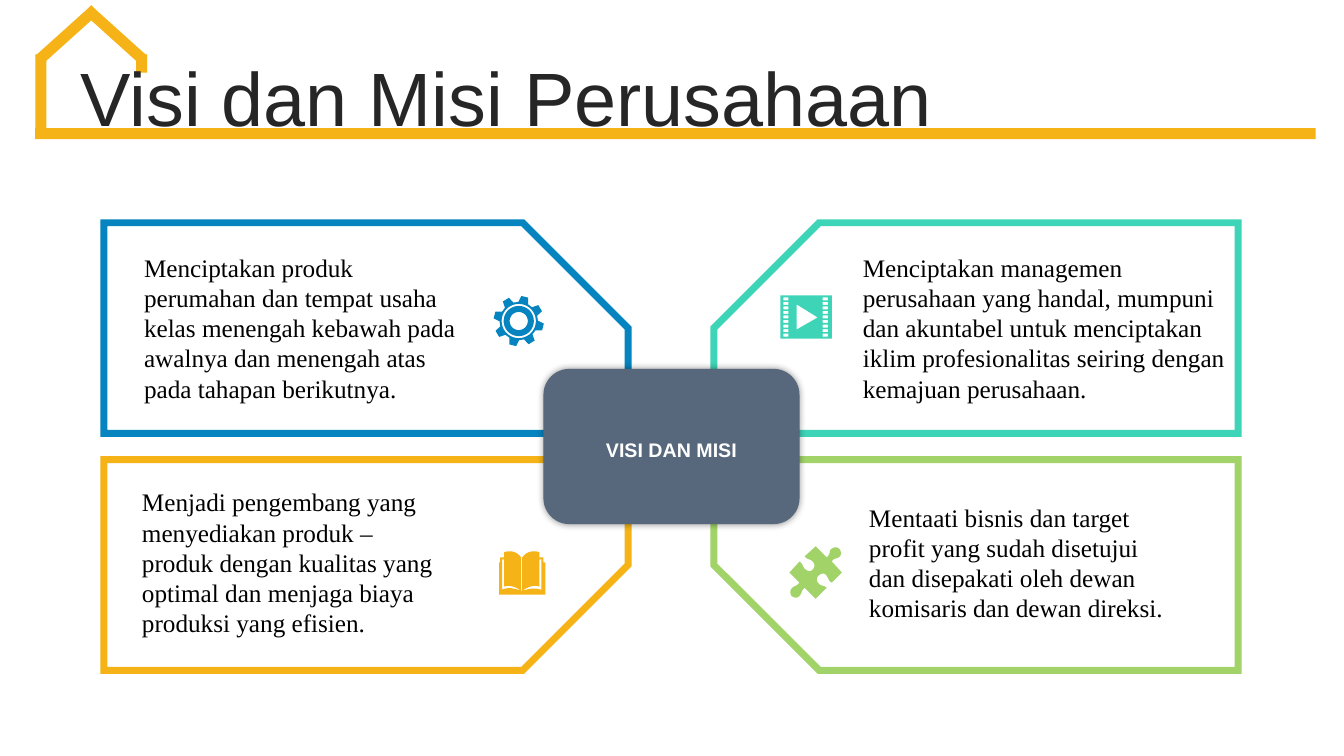
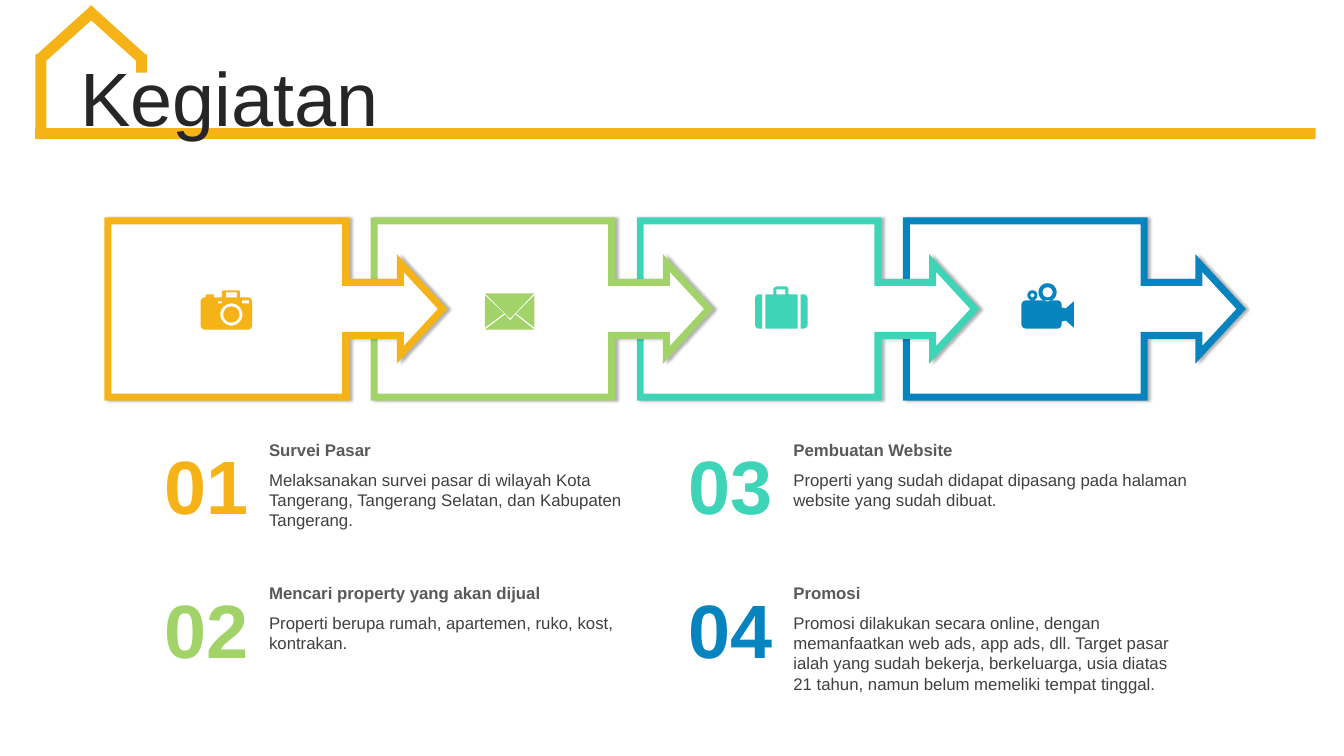
import math

import pptx
import pptx.dml.color
import pptx.enum.shapes
import pptx.enum.text
import pptx.oxml
import pptx.oxml.ns
import pptx.util

Inches = pptx.util.Inches
Pt = pptx.util.Pt
RGBColor = pptx.dml.color.RGBColor
MSO_SHAPE = pptx.enum.shapes.MSO_SHAPE
MSO_ANCHOR = pptx.enum.text.MSO_ANCHOR
PP_ALIGN = pptx.enum.text.PP_ALIGN

AMBER = RGBColor(0xF5, 0xB3, 0x17)
GREEN = RGBColor(0xA2, 0xD3, 0x68)
TEAL = RGBColor(0x3E, 0xD4, 0xB7)
BLUE = RGBColor(0x06, 0x84, 0xBF)
SLATE = RGBColor(0x57, 0x68, 0x7C)
WHITE = RGBColor(0xFF, 0xFF, 0xFF)
BLACK = RGBColor(0x00, 0x00, 0x00)
TITLE_INK = RGBColor(0x26, 0x26, 0x26)
HEADING_INK = RGBColor(0x59, 0x59, 0x59)
BODY_INK = RGBColor(0x40, 0x40, 0x40)


def add_text(slide, words, left, top, width, height, size, color, bold=False, face="Arial"):
    box = slide.shapes.add_textbox(Inches(left), Inches(top), Inches(width), Inches(height))
    box.text_frame.word_wrap = True
    paragraph = box.text_frame.paragraphs[0]
    paragraph.text = words
    paragraph.font.size = Pt(size)
    paragraph.font.name = face
    paragraph.font.bold = bold
    paragraph.font.color.rgb = color
    return box.text_frame


def draw_icon(slide, color, contours):
    builder = None
    for contour in contours:
        points = []
        if isinstance(contour, tuple) and len(contour) == 3:
            x, y, radius = contour
            for step in range(36):
                angle = math.radians(10 * step)
                points.append((x + radius * math.cos(angle), y + radius * math.sin(angle)))
        elif isinstance(contour, tuple):
            left, top, right, bottom = contour
            points = [(left, top), (right, top), (right, bottom), (left, bottom)]
        else:
            for node in contour:
                if len(node) == 2:
                    points.append(node)
                    continue
                x0, y0 = points[-1]
                x1, y1, x2, y2, x3, y3 = node
                for step in range(1, 7):
                    t = step / 6
                    a, b, c, d = (1 - t) ** 3, 3 * t * (1 - t) ** 2, 3 * t * t * (1 - t), t ** 3
                    points.append((a * x0 + b * x1 + c * x2 + d * x3,
                                   a * y0 + b * y1 + c * y2 + d * y3))
        points = [(Inches(x), Inches(y)) for x, y in points]
        if builder is None:
            builder = slide.shapes.build_freeform(*points[0], scale=1.0)
        else:
            builder.move_to(*points[0])
        builder.add_line_segments(points[1:], close=True)
    icon = builder.convert_to_shape()
    icon.shadow.inherit = False
    icon.fill.solid()
    icon.fill.fore_color.rgb = color
    icon.line.fill.background()


deck = pptx.Presentation()
deck.slide_width = Inches(13.33)
deck.slide_height = Inches(7.5)

HOUSE_BARS = [
    (0.35, 1.27, 12.7, 0.11, 0),
    (0.35, 0.54, 0.11, 0.8, 0),
    (1.35, 0.54, 0.11, 0.18, 0),
    (0.61, -0.03, 0.11, 0.75, 48),
    (1.09, -0.03, 0.11, 0.75, 312),
]
for title in ["Visi dan Misi Perusahaan", "Kegiatan"]:
    slide = deck.slides.add_slide(deck.slide_layouts[6])
    for left, top, width, height, turn in HOUSE_BARS:
        bar = slide.shapes.add_shape(MSO_SHAPE.RECTANGLE, Inches(left), Inches(top),
                                     Inches(width), Inches(height))
        bar.rotation = turn
        bar.shadow.inherit = False
        bar.fill.solid()
        bar.fill.fore_color.rgb = AMBER
        bar.line.fill.background()
    heading = add_text(slide, title, 0.7, 0.62, 12.31, 0.79, 54, TITLE_INK)
    heading.vertical_anchor = MSO_ANCHOR.MIDDLE
    heading.paragraphs[0].line_spacing = 0.9

vision, activities = deck.slides
framed = []
shadowed = []

for left, top, flips, color in [
    (1.03, 2.21, [], BLUE),
    (7.08, 2.21, ["flipH"], TEAL),
    (1.03, 4.56, ["flipV"], AMBER),
    (7.08, 4.56, ["flipH", "flipV"], GREEN),
]:
    panel = vision.shapes.add_shape(MSO_SHAPE.SNIP_1_RECTANGLE, Inches(left), Inches(top),
                                    Inches(5.2), Inches(2.09))
    panel.adjustments[0] = 0.5
    for flip in flips:
        panel._element.spPr.xfrm.set(flip, "1")
    framed.append((panel, color))

hub = vision.shapes.add_shape(MSO_SHAPE.ROUNDED_RECTANGLE, Inches(5.39), Inches(3.66),
                              Inches(2.54), Inches(1.54))
hub.fill.solid()
hub.fill.fore_color.rgb = SLATE
hub.line.fill.background()
hub.text_frame.margin_top = Inches(0.12)
hub.text_frame.vertical_anchor = MSO_ANCHOR.MIDDLE
hub_label = hub.text_frame.paragraphs[0]
hub_label.text = "VISI DAN MISI"
hub_label.alignment = PP_ALIGN.CENTER
hub_label.font.size = Pt(14)
hub_label.font.name = "Arial"
hub_label.font.bold = True
hub_label.font.color.rgb = WHITE
shadowed.append((hub, 40, 5, 0))

for left, top, width, height, mission in [
    (1.33, 2.45, 3.41, 1.62, "Menciptakan produk perumahan dan tempat usaha kelas menengah kebawah "
     "pada awalnya dan menengah atas pada tahapan berikutnya."),
    (1.31, 4.78, 3.21, 1.62, "Menjadi pengembang yang menyediakan produk – produk dengan kualitas "
     "yang optimal dan menjaga biaya produksi yang efisien."),
    (8.46, 2.45, 3.84, 1.62, "Menciptakan managemen perusahaan yang handal, mumpuni dan akuntabel "
     "untuk menciptakan iklim profesionalitas seiring dengan kemajuan perusahaan."),
    (8.52, 4.93, 3.21, 1.31, "Mentaati bisnis dan target profit yang sudah disetujui dan disepakati "
     "oleh dewan komisaris dan dewan direksi."),
]:
    add_text(vision, mission, left, top, width, height, 18, BLACK, face="Times New Roman")

gear_x, gear_y = 5.145, 3.185
teeth = []
for tooth in range(8):
    for offset, radius in [(-15, 0.19), (-8, 0.25), (8, 0.25), (15, 0.19)]:
        angle = math.radians(45 * tooth - 76 + offset)
        teeth.append((gear_x + radius * math.cos(angle), gear_y + radius * math.sin(angle)))
draw_icon(vision, BLUE, [teeth] + [(gear_x, gear_y, radius) for radius in (0.17, 0.15, 0.09)])

film_holes = [(left, 2.95 + 0.36 * row / 8, left + 0.05, 2.98 + 0.36 * row / 8)
              for left in (7.77, 8.16) for row in range(9)]
draw_icon(vision, TEAL, [(7.74, 2.93, 8.25, 3.36), [(7.9, 3.02), (8.11, 3.15), (7.9, 3.27)]]
          + film_holes)

draw_icon(vision, AMBER, [[
    (5.17, 5.86), (5.18, 5.86), (5.26, 5.84, 5.29, 5.83, 5.37, 5.85), (5.37, 5.55), (5.35, 5.55),
    (5.35, 5.82), (5.3, 5.8, 5.24, 5.82, 5.18, 5.86), (5.18, 5.53),
    (5.21, 5.49, 5.25, 5.47, 5.29, 5.47), (5.31, 5.47, 5.33, 5.47, 5.35, 5.48), (5.35, 5.53),
    (5.39, 5.53), (5.39, 5.58), (5.41, 5.58), (5.41, 5.9), (4.95, 5.9), (4.95, 5.58),
    (4.96, 5.58), (4.96, 5.53), (5, 5.53), (5, 5.48), (5.02, 5.47, 5.04, 5.47, 5.06, 5.47),
    (5.1, 5.47, 5.14, 5.49, 5.17, 5.53), (5.17, 5.86), (5.11, 5.82, 5.05, 5.8, 5, 5.82),
    (5, 5.55), (4.98, 5.55), (4.98, 5.85), (5.05, 5.82, 5.1, 5.84, 5.17, 5.86),
]])

draw_icon(vision, GREEN, [[
    (8.32, 5.44), (8.34, 5.46, 8.35, 5.5, 8.33, 5.52), (8.3, 5.55, 8.27, 5.53, 8.25, 5.57),
    (8.35, 5.68), (8.25, 5.78), (8.21, 5.76, 8.22, 5.73, 8.19, 5.7),
    (8.17, 5.68, 8.14, 5.69, 8.12, 5.71), (8.1, 5.72, 8.09, 5.76, 8.12, 5.79),
    (8.15, 5.82, 8.16, 5.8, 8.2, 5.83), (8.09, 5.94), (7.98, 5.83),
    (7.94, 5.87, 7.96, 5.88, 7.93, 5.91), (7.91, 5.94, 7.87, 5.93, 7.85, 5.91),
    (7.84, 5.9, 7.83, 5.86, 7.85, 5.84), (7.87, 5.81, 7.9, 5.82, 7.93, 5.78),
    (7.83, 5.68), (7.93, 5.57), (7.97, 5.6, 7.96, 5.63, 7.99, 5.65),
    (8.01, 5.67, 8.05, 5.67, 8.06, 5.65), (8.08, 5.63, 8.09, 5.6, 8.06, 5.57),
    (8.03, 5.54, 8.02, 5.56, 7.98, 5.52), (8.09, 5.42), (8.2, 5.53),
    (8.24, 5.49, 8.22, 5.48, 8.24, 5.45), (8.27, 5.42, 8.31, 5.43, 8.32, 5.44),
]])

STEPS = [
    ("Survei Pasar", AMBER, "Melaksanakan survei pasar di wilayah Kota Tangerang, "
     "Tangerang Selatan, dan Kabupaten Tangerang.", 0.71),
    ("Mencari property yang akan dijual", GREEN, "Properti berupa rumah, apartemen, ruko, kost, "
     "kontrakan.", 0.5),
    ("Pembuatan Website", TEAL, "Properti yang sudah didapat dipasang pada halaman website yang "
     "sudah dibuat.", 0.5),
    ("Promosi", BLUE, "Promosi dilakukan secara online, dengan memanfaatkan web ads, app ads, dll. "
     "Target pasar ialah yang sudah bekerja, berkeluarga, usia diatas 21 tahun, namun belum "
     "memeliki tempat tinggal.", 0.91),
]
for index, (name, color, detail, height) in enumerate(STEPS):
    column, row = divmod(index, 2)
    left = 1.49 + 5.2 * column
    top = 4.31 + 1.42 * row
    number = add_text(activities, f"{index + 1:02}", left, top, 1.11, 1.01, 54, color, True)
    number.paragraphs[0].alignment = PP_ALIGN.CENTER
    add_text(activities, detail, left + 1.08, top + 0.3, 4.12, height, 12, BODY_INK)
    add_text(activities, name, left + 1.08, top, 4.09, 0.3, 12, HEADING_INK, True)

for index in reversed(range(len(STEPS))):
    callout = activities.shapes.add_shape(MSO_SHAPE.RIGHT_ARROW_CALLOUT,
                                          Inches(1.07 + 2.64 * index), Inches(2.19),
                                          Inches(3.32), Inches(1.75))
    for position, share in enumerate([0.3, 0.26, 0.24, 0.71]):
        callout.adjustments[position] = share
    framed.append((callout, STEPS[index][1]))
    shadowed.append((callout, 30, 2, 2))

draw_icon(activities, AMBER, [
    (2.295, 3.12, 0.08), (2.295, 3.12, 0.11), (2.16, 2.99, 2.2, 3.01), (2.4, 2.98, 2.47, 3.01),
    (2.24, 2.9, 2.35, 2.95),
    [(2.22, 2.88), (2.37, 2.88), (2.38, 2.89), (2.38, 2.95), (2.46, 2.95),
     (2.48, 2.95, 2.5, 2.97, 2.5, 2.99), (2.5, 3.23), (2.5, 3.25, 2.48, 3.27, 2.46, 3.27),
     (2.03, 3.27), (2.01, 3.27, 1.99, 3.25, 1.99, 3.23), (1.99, 2.99),
     (1.99, 2.97, 2.01, 2.95, 2.03, 2.95), (2.04, 2.95), (2.04, 2.92), (2.12, 2.92),
     (2.12, 2.95), (2.2, 2.95), (2.2, 2.89)],
])
draw_icon(activities, GREEN, [
    [(5.11, 3.12), (5.3, 3.27), (4.81, 3.27), (5.01, 3.12), (5.06, 3.18)],
    [(5.3, 2.93), (5.3, 3.25), (5.12, 3.11)],
    [(4.81, 2.93), (5, 3.11), (4.81, 3.25)],
    [(4.81, 2.91), (5.3, 2.91), (5.06, 3.16)],
])
draw_icon(activities, TEAL, [
    [(7.94, 2.92), (7.97, 2.92), (7.99, 2.92, 8.01, 2.94, 8.01, 2.96), (8.01, 3.22),
     (8.01, 3.24, 7.99, 3.26, 7.97, 3.26), (7.94, 3.26)],
    [(7.56, 2.92), (7.56, 3.26), (7.53, 3.26), (7.5, 3.26, 7.49, 3.24, 7.49, 3.22),
     (7.49, 2.96), (7.49, 2.94, 7.5, 2.92, 7.53, 2.92)],
    (7.7, 2.87, 7.79, 2.92),
    [(7.7, 2.84), (7.8, 2.84), (7.82, 2.86), (7.82, 2.92), (7.91, 2.92), (7.91, 3.26),
     (7.59, 3.26), (7.59, 2.92), (7.67, 2.92), (7.67, 2.86)],
])
draw_icon(activities, BLUE, [
    (10.24, 2.93, 0.02), (10.24, 2.93, 0.05), (10.39, 2.9, 0.05), (10.39, 2.9, 0.09),
    [(10.18, 2.98), (10.49, 2.98), (10.51, 2.98, 10.53, 3, 10.53, 3.03), (10.53, 3.05),
     (10.57, 3.06), (10.65, 2.99), (10.65, 3.25), (10.57, 3.18), (10.53, 3.19), (10.53, 3.21),
     (10.53, 3.24, 10.51, 3.26, 10.49, 3.26), (10.18, 3.26),
     (10.15, 3.26, 10.13, 3.24, 10.13, 3.21), (10.13, 3.03),
     (10.13, 3, 10.15, 2.98, 10.18, 2.98)],
])

for frame, color in framed:
    frame.shadow.inherit = False
    frame.fill.solid()
    frame.fill.fore_color.rgb = WHITE
    frame.line.color.rgb = color
    frame.line.width = Pt(5)
    miter = pptx.oxml.parse_xml(f'<a:miter {pptx.oxml.ns.nsdecls("a")} lim="800000"/>')
    frame.line._ln.append(miter)

for caster, opacity, blur, distance in shadowed:
    caster.shadow.inherit = False
    effects = caster._element.spPr.find(pptx.oxml.ns.qn("a:effectLst"))
    effects.append(pptx.oxml.parse_xml(
        f'<a:outerShdw {pptx.oxml.ns.nsdecls("a")} blurRad="{Pt(blur)}" dist="{Pt(distance)}" '
        f'dir="0" algn="ctr" rotWithShape="0"><a:srgbClr val="{BLACK}">'
        f'<a:alpha val="{opacity * 1000}"/></a:srgbClr></a:outerShdw>'))

deck.save("out.pptx")
